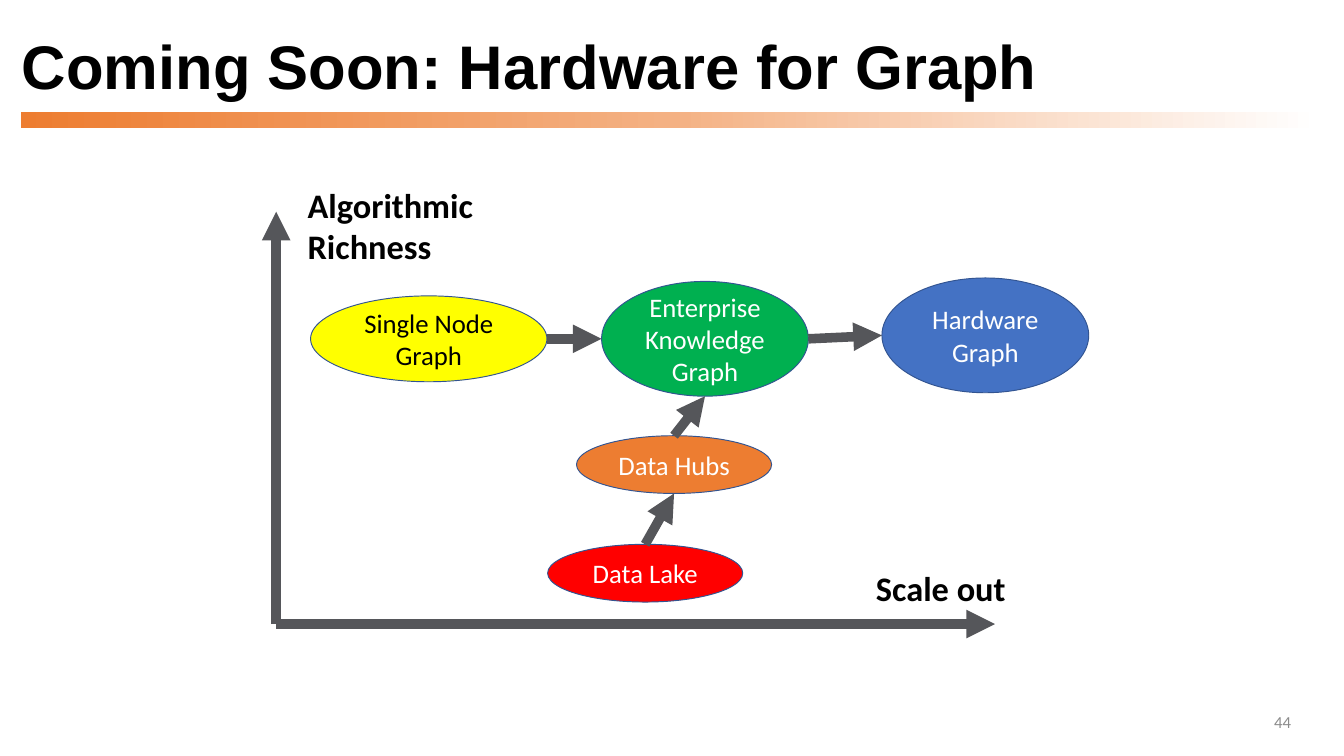
import pptx
import pptx.util
import pptx.dml.color
import pptx.enum.shapes
import pptx.enum.text
import pptx.oxml
import pptx.oxml.ns

WIDE, HIGH = 19.56, 11
GREY, EDGE = "55565A", "325491"
TITLE = "Coming Soon: Hardware for Graph"
FADE = [(0, "ED7D31"), (50, "F4B183"), (100, "FFFFFF")]

BIG, MID, LOW = (3.01, 1.67), (3.44, 1.25), (2.84, 0.84)
# name: (text, centre, size, fill, text colour)
NODES = {
    "single": ("Single Node\nGraph", (6.24, 4.93), MID, "FFFF00", "000000"),
    "know": ("Enterprise\nKnowledge\nGraph", (10.26, 4.93), BIG, "00B050", "FFFFFF"),
    "hard": ("Hardware\nGraph", (14.34, 4.88), BIG, "4472C4", "FFFFFF"),
    "hubs": ("Data Hubs", (9.81, 6.76), LOW, "ED7D31", "FFFFFF"),
    "lake": ("Data Lake", (9.39, 8.34), LOW, "FF0000", "FFFFFF"),
}
SIDES = {"left": (-0.5, 0), "right": (0.5, 0), "top": (0, -0.5), "base": (0, 0.5)}
LINKS = [
    ("single", "right", "know", "left"),
    ("know", "right", "hard", "left"),
    ("hubs", "top", "know", "base"),
    ("lake", "top", "hubs", "base"),
]
ZERO = (4.02, 9.08)
AXES = [(4.02, 3.08), (14.48, 9.08)]
LABELS = [
    ("Algorithmic\nRichness", (4.38, 2.63, 2.64, 1.31)),
    ("Scale out", (12.65, 8.21, 2.11, 0.71)),
]

ALIGN = pptx.enum.text.PP_ALIGN
ANCHOR = pptx.enum.text.MSO_ANCHOR
SHAPE = pptx.enum.shapes.MSO_SHAPE


def inch(vals):
    return [pptx.util.Inches(v) for v in vals]


def color(code):
    return pptx.dml.color.RGBColor.from_string(code)


def write(shape, text, size, font="Calibri", ink="000000", bold=False,
          align=ALIGN.LEFT, anchor=ANCHOR.MIDDLE, wrap=True, space=None):
    frame = shape.text_frame
    frame.text = text
    frame.word_wrap = wrap
    frame.auto_size = pptx.enum.text.MSO_AUTO_SIZE.NONE
    frame.vertical_anchor = anchor
    for para in frame.paragraphs:
        para.alignment = align
        para.line_spacing = space
        para.font.size = pptx.util.Pt(size)
        para.font.name = font
        para.font.bold = bold
        para.font.color.rgb = color(ink)


def add_xml(parent, body):
    parent.append(pptx.oxml.parse_xml(
        body.replace(">", " " + pptx.oxml.ns.nsdecls("a") + ">", 1)))


def draw_bar(slide):
    """Add the rule under the title, fading to the right."""
    bar = slide.shapes.add_shape(SHAPE.RECTANGLE, *inch((0.3, 1.63, 18.9, 0.23)))
    bar.shadow.inherit = False
    bar.line.fill.background()
    bar.fill.gradient()
    bar.fill.gradient_angle = 0
    stops = bar._element.spPr.find(".//" + pptx.oxml.ns.qn("a:gsLst"))
    for stop in list(stops):
        stops.remove(stop)
    for place, code in FADE:
        add_xml(stops, f'<a:gs pos="{place * 1000}"><a:srgbClr val="{code}"/></a:gs>')


def draw_node(slide, text, mid, size, fill, ink):
    spot = [m - s / 2 for m, s in zip(mid, size)]
    node = slide.shapes.add_shape(SHAPE.OVAL, *inch([*spot, *size]))
    node.shadow.inherit = False
    node.fill.solid()
    node.fill.fore_color.rgb = color(fill)
    node.line.color.rgb = color(EDGE)
    node.line.width = pptx.util.Pt(1)
    write(node, text, 28, ink=ink, align=ALIGN.CENTER)


def draw_arrow(slide, start, end):
    arrow = slide.shapes.add_connector(
        pptx.enum.shapes.MSO_CONNECTOR.STRAIGHT, *inch([*start, *end]))
    arrow.line.color.rgb = color(GREY)
    arrow.line.width = pptx.util.Pt(10)
    add_xml(arrow.line._get_or_add_ln(), '<a:tailEnd type="triangle"></a:tailEnd>')
    add_xml(arrow._element.spPr, "<a:effectLst></a:effectLst>")


def port(name, side):
    """Return the point where an arrow meets a node."""
    _, mid, size, _, _ = NODES[name]
    return [m + s * d for m, s, d in zip(mid, size, SIDES[side])]


def main():
    deck = pptx.Presentation()
    deck.slide_width, deck.slide_height = inch((WIDE, HIGH))
    slide = deck.slides.add_slide(deck.slide_layouts[5])

    draw_bar(slide)
    title = slide.shapes.title
    title.left, title.top, title.width, title.height = inch((0.22, 0.4, 17.91, 1.23))
    write(title, TITLE, 64.5, font="Arial", bold=True, space=0.9)

    page = slide.shapes.add_textbox(*inch((14.49, 10.2, 4.4, 0.59)))
    write(page, "44", 17.6, ink="8C8C8C", align=ALIGN.RIGHT)

    for node in NODES.values():
        draw_node(slide, *node)
    for end in AXES:
        draw_arrow(slide, ZERO, end)
    for text, box in LABELS:
        label = slide.shapes.add_textbox(*inch(box))
        write(label, text, 36, bold=True, anchor=ANCHOR.TOP, wrap=False)
    for source, out, target, into in LINKS:
        draw_arrow(slide, port(source, out), port(target, into))

    deck.save("out.pptx")


if __name__ == "__main__":
    main()
